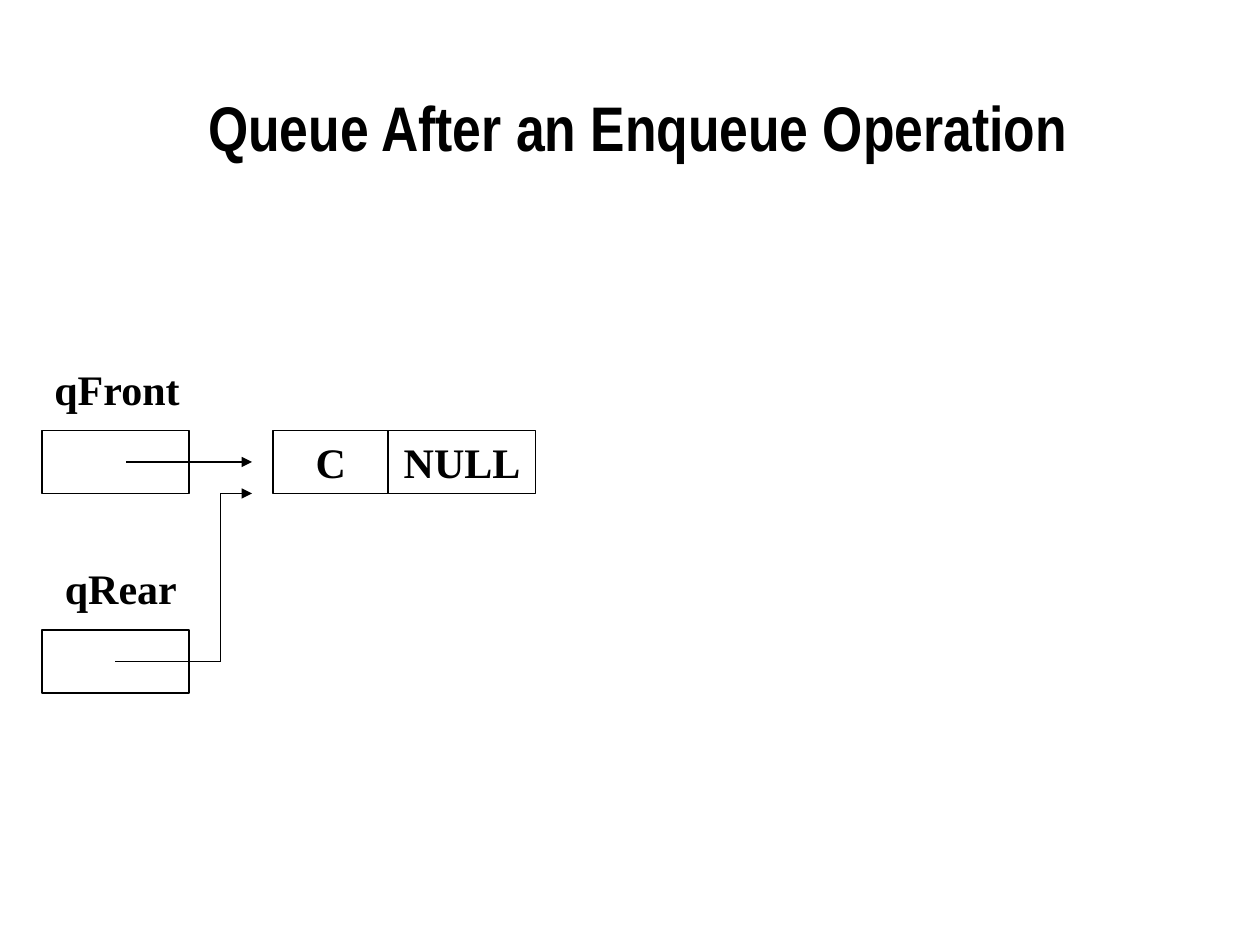
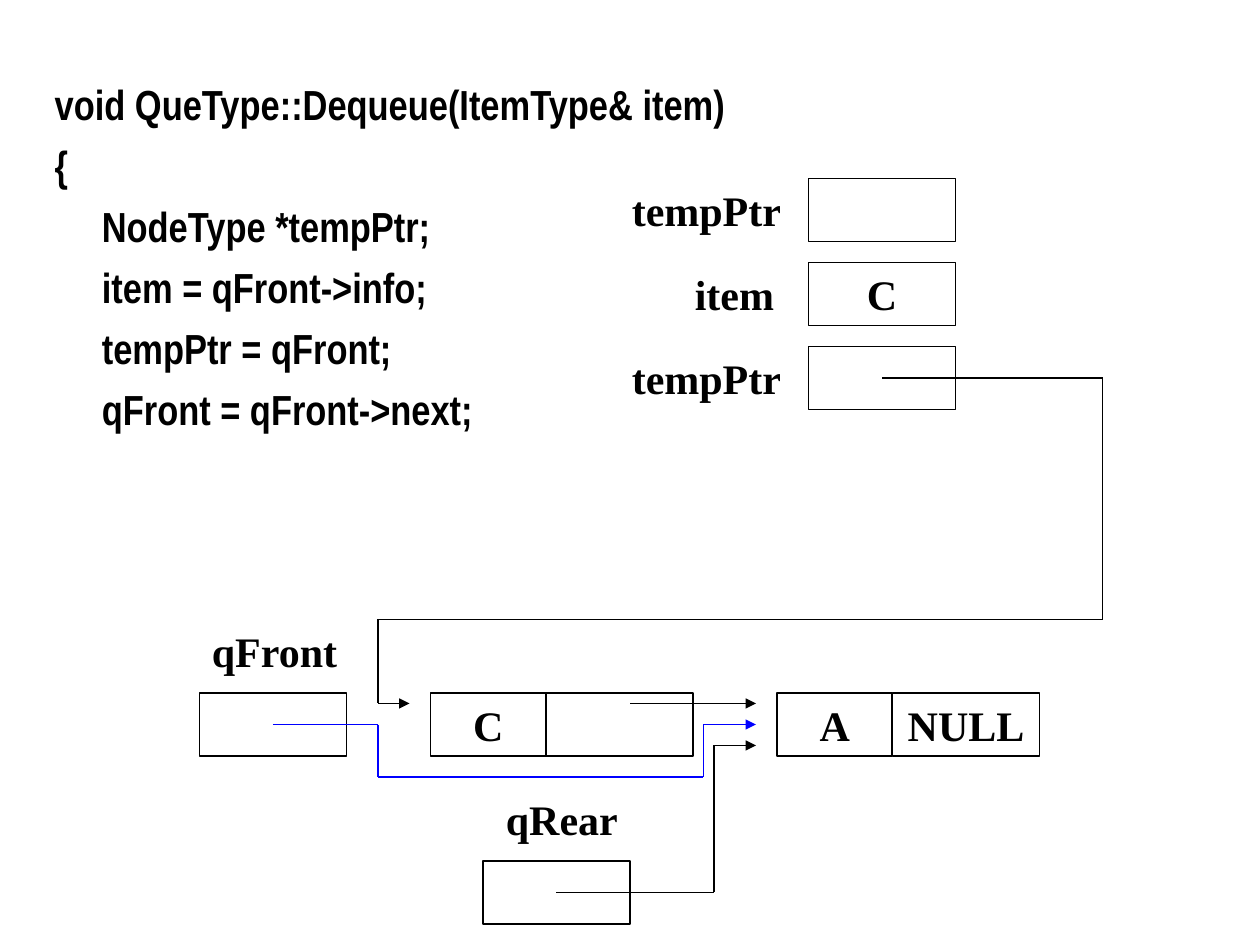
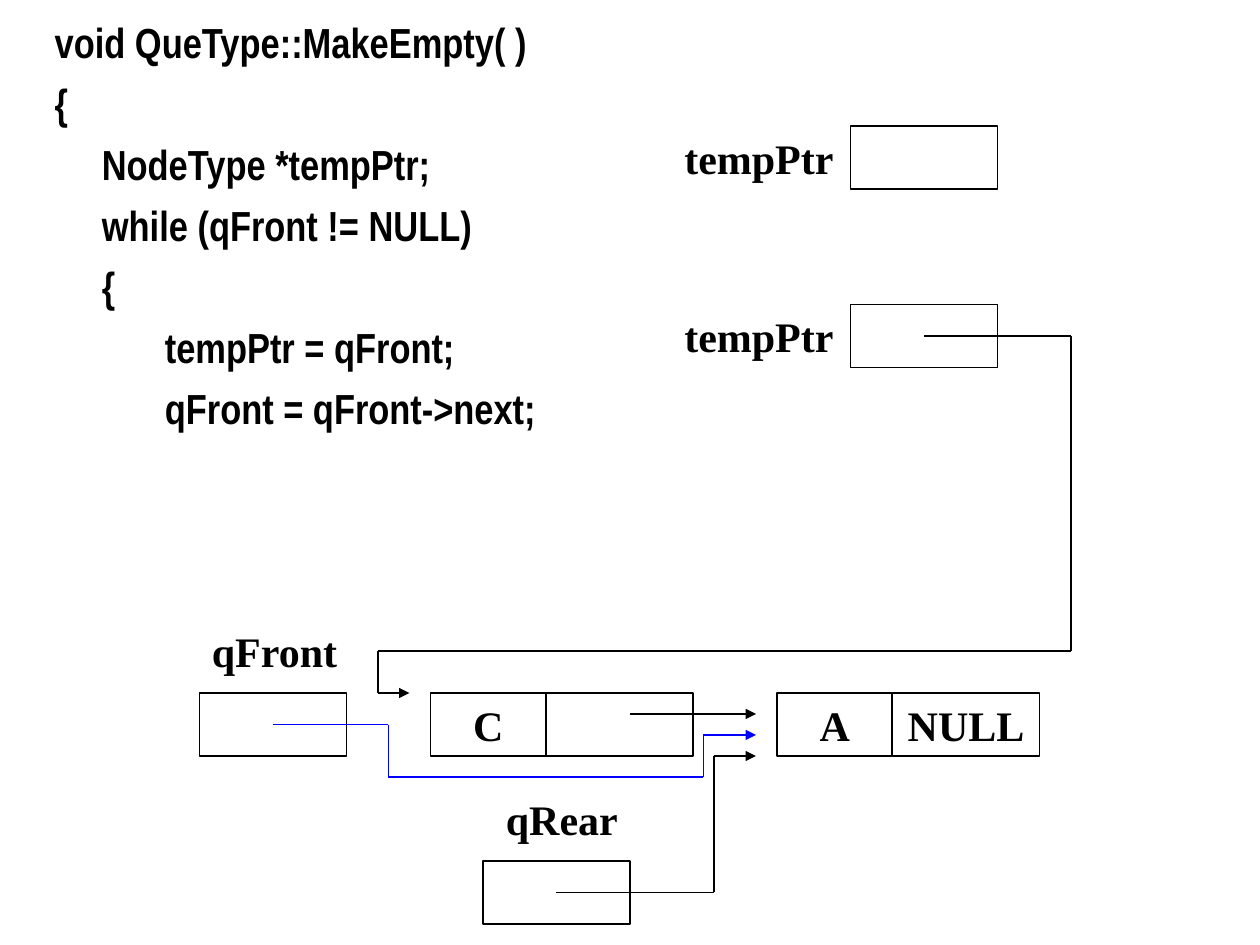
from itertools import pairwise

from lxml import etree
from pptx import Presentation
from pptx import util as u
from pptx.dml.color import RGBColor
from pptx.enum import shapes, text
from pptx.oxml.ns import qn

PX = 9525  # EMU, 96 px to the inch
BLACK, WHITE, BLUE = "000000", "FFFFFF", "0000FF"
LABEL_FONT, CODE_FONT = "Times New Roman", "Arial Narrow"
INFO_WIDTH, POINTER_WIDTH, CELL_HEIGHT = 88, 112, 48
LANE_GAP = 16
CODE_TABS = (0, 96)


def color(value):
    return RGBColor.from_string(value)


def place(shape, left, top, width, height):
    shape.left, shape.top = left * PX, top * PX
    shape.width, shape.height = width * PX, height * PX


def style(para, font, size):
    for span in para.runs:
        span.font.name = font
        span.font.size = u.Pt(size)
        span.font.bold = True
        span.font.color.rgb = color(BLACK)


def add_cell(page, left, top, width, value=""):
    cell = page.shapes.add_shape(shapes.MSO_SHAPE.RECTANGLE, left * PX, top * PX,
                                 width * PX, CELL_HEIGHT * PX)
    cell.shadow.inherit = False
    cell.fill.solid()
    cell.fill.fore_color.rgb = color(WHITE)
    cell.line.color.rgb = color(BLACK)
    cell.line.width = u.Pt(1)
    if value:
        frame = cell.text_frame
        frame.text = value
        frame.word_wrap = False
        frame.vertical_anchor = text.MSO_ANCHOR.MIDDLE
        frame.paragraphs[0].alignment = text.PP_ALIGN.CENTER
        style(frame.paragraphs[0], LABEL_FONT, 24)


def add_label(page, left, top, width, name):
    label = page.shapes.add_textbox(left * PX, top * PX, width * PX, CELL_HEIGHT * PX)
    frame = label.text_frame
    frame.text = name
    frame.word_wrap = True
    style(frame.paragraphs[0], LABEL_FONT, 24)


def add_route(target, points, line_color=BLACK):
    """Draw straight segments through the points, with an arrowhead at the last."""
    for start, end in pairwise(points):
        line = target.add_connector(shapes.MSO_CONNECTOR.STRAIGHT,
                                    *(value * PX for value in start + end))
        line.line.color.rgb = color(line_color)
        line.line.width = u.Pt(1)
        properties = line._element.spPr
        etree.SubElement(properties, qn("a:effectLst"))
    etree.SubElement(properties.find(qn("a:ln")), qn("a:tailEnd"), type="triangle")


def add_node(page, left, top, info, following=""):
    add_cell(page, left, top, INFO_WIDTH, info)
    add_cell(page, left + INFO_WIDTH, top, POINTER_WIDTH, following)


def add_end_pointer(page, left, top, name, label_shift=0):
    """Draw qFront or qRear: a label above an empty cell."""
    add_cell(page, left, top + 56, POINTER_WIDTH)
    add_label(page, left + label_shift, top, 147, name)


def add_variable(page, left, top, cell_shift, label_width, name, value=""):
    """Draw a label with its cell to the right."""
    add_cell(page, left + cell_shift, top, POINTER_WIDTH, value)
    add_label(page, left, top, label_width, name)


def add_single_queue(page, left, top):
    add_end_pointer(page, left, top, "qFront")
    add_end_pointer(page, left, top + 152, "qRear", 8)
    add_node(page, left + 176, top + 56, "C", "NULL")
    end = left + 160
    add_route(page.shapes, [(left + 64, top + 80), (end, top + 80)])
    turn = left + 136
    add_route(page.shapes, [(left + 56, top + 232), (turn, top + 232),
                            (turn, top + 104), (end, top + 104)])


def add_double_queue(page, left, top, first_lane, front_turn):
    """Draw nodes C and A; three arrows reach A, LANE_GAP apart from first_lane."""
    add_end_pointer(page, left, top, "qFront")
    add_end_pointer(page, left + 216, top + 128, "qRear", 8)
    add_node(page, left + 176, top + 56, "C")
    add_node(page, left + 440, top + 56, "A", "NULL")

    end = left + 424
    next_lane, front_lane, rear_lane = (top + first_lane + LANE_GAP * i for i in range(3))
    add_route(page.shapes, [(left + 328, next_lane), (end, next_lane)])
    rear_turn = left + 392
    add_route(page.shapes, [(left + 272, top + 208), (rear_turn, top + 208),
                            (rear_turn, rear_lane), (end, rear_lane)])
    down, up = left + front_turn, left + 384
    group = page.shapes.add_group_shape()
    add_route(group.shapes, [(left + 56, top + 80), (down, top + 80), (down, top + 120),
                             (up, top + 120), (up, front_lane), (end, front_lane)], BLUE)


def add_code(page, left, top, width, height, lines):
    body = page.placeholders[1]
    place(body, left, top, width, height)
    frame = body.text_frame
    frame.text = "\n".join(lines)
    frame.auto_size = text.MSO_AUTO_SIZE.NONE
    frame.vertical_anchor = text.MSO_ANCHOR.TOP
    for index, para in enumerate(frame.paragraphs):
        properties = para._p.get_or_add_pPr()
        properties.set("marL", str(36 * PX))
        properties.set("indent", str(-36 * PX))
        etree.SubElement(properties, qn("a:buNone"))
        tabs = etree.SubElement(properties, qn("a:tabLst"))
        for stop in CODE_TABS:
            etree.SubElement(tabs, qn("a:tab"), pos=str(stop * PX), algn="l")
        para.space_before = u.Pt(6 if index else 0)
        style(para, CODE_FONT, 24)


def new_code_page(deck):
    page = deck.slides.add_slide(deck.slide_layouts[1])
    title = page.shapes.title._element
    title.getparent().remove(title)
    return page


def build_enqueue(deck):
    page = deck.slides.add_slide(deck.slide_layouts[5])
    title = page.shapes.title
    place(title, 32, 36, 908, 120)
    frame = title.text_frame
    frame.text = "Queue After an Enqueue Operation"
    frame.vertical_anchor = text.MSO_ANCHOR.MIDDLE
    frame.paragraphs[0].alignment = text.PP_ALIGN.CENTER
    style(frame.paragraphs[0], CODE_FONT, 36)
    add_single_queue(page, 32, 272)


def build_dequeue(deck):
    page = new_code_page(deck)
    add_code(page, 32, 55, 911, 281, [
        "void QueType::Dequeue(ItemType& item)",
        "{",
        "\tNodeType *tempPtr;",
        "\titem = qFront->info;",
        "\ttempPtr = qFront;",
        "\tqFront = qFront->next;",
    ])
    add_variable(page, 472, 136, 144, 179, "tempPtr")
    add_variable(page, 520, 200, 96, 131, "item", "C")
    add_variable(page, 472, 264, 144, 179, "tempPtr")
    add_double_queue(page, 152, 472, 64, 136)
    add_route(page.shapes, [(672, 288), (840, 288), (840, 472),
                            (288, 472), (288, 536), (312, 536)])


def build_make_empty(deck):
    page = new_code_page(deck)
    add_code(page, 32, 8, 911, 328, [
        "void QueType::MakeEmpty( )",
        "{",
        "\tNodeType *tempPtr;",
        "\twhile (qFront != NULL)",
        "\t{",
        "\t\ttempPtr = qFront;",
        "\t\tqFront = qFront->next;",
    ])
    for top in (96, 232):
        add_variable(page, 512, top, 136, 171, "tempPtr")
    add_double_queue(page, 152, 472, 72, 144)
    add_route(page.shapes, [(704, 256), (816, 256), (816, 496),
                            (288, 496), (288, 528), (312, 528)])


def main():
    deck = Presentation()
    deck.slide_width, deck.slide_height = 960 * PX, 720 * PX
    build_enqueue(deck)
    build_dequeue(deck)
    build_make_empty(deck)
    deck.save("out.pptx")


if __name__ == "__main__":
    main()
